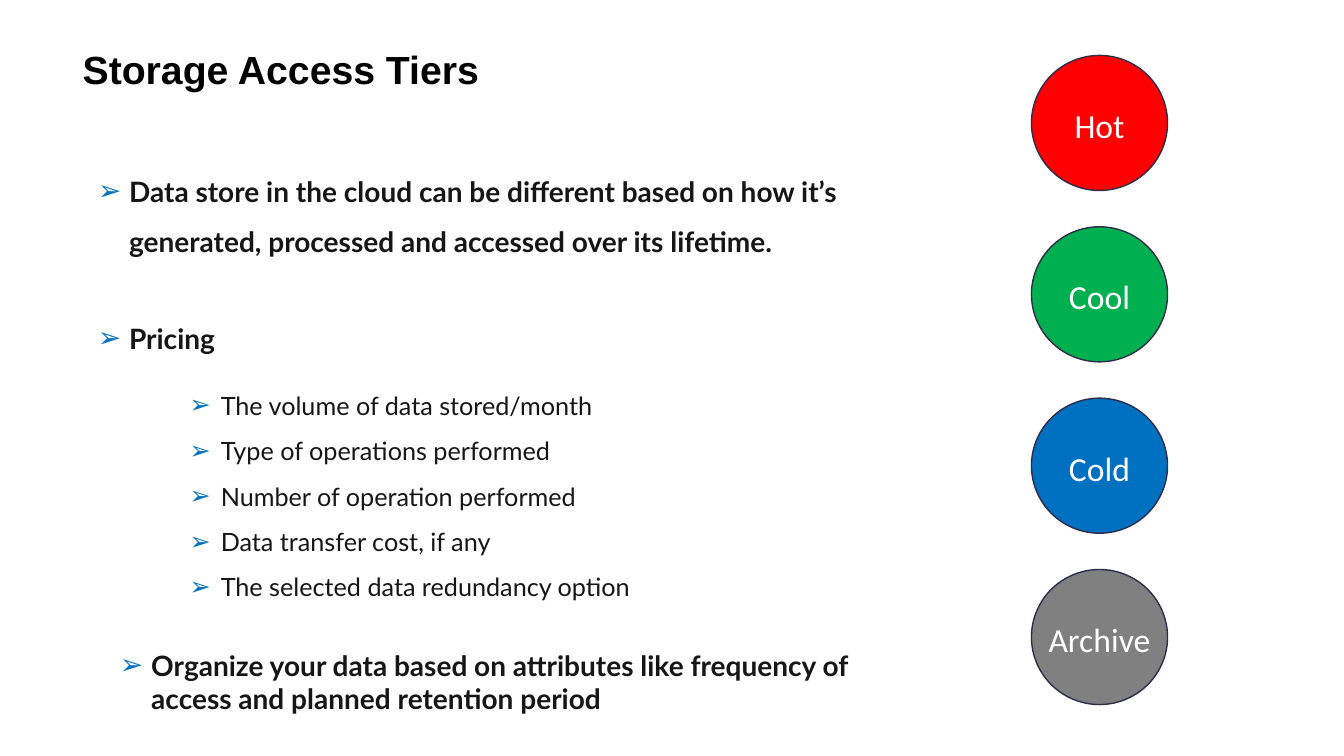
from dataclasses import dataclass

from lxml import etree
from pptx import Presentation
from pptx.dml.color import RGBColor
from pptx.enum.shapes import MSO_SHAPE
from pptx.enum.text import MSO_ANCHOR, MSO_AUTO_SIZE, PP_ALIGN
from pptx.oxml.ns import qn
from pptx.util import Emu, Pt

OVAL = MSO_SHAPE.OVAL
TOP, MIDDLE, BOTTOM = MSO_ANCHOR.TOP, MSO_ANCHOR.MIDDLE, MSO_ANCHOR.BOTTOM
LEFT, CENTER = PP_ALIGN.LEFT, PP_ALIGN.CENTER
NO_AUTOFIT = MSO_AUTO_SIZE.NONE
EMU_PER_PX = 9144
COMPARISON_LAYOUT = 4


@dataclass(frozen=True)
class Theme:
    title_font: str = "Arial"
    list_font: str = "Lato"
    tier_font: str = "Calibri"
    title_size: int = 28
    point_size: int = 20
    detail_size: int = 18
    tier_size: int = 24
    title_color: str = "000000"
    list_color: str = "161616"
    bullet_color: str = "0070C0"
    tier_color: str = "FFFFFF"
    outline: str = "2D2D4B"
    hot: str = "FF0000"
    cool: str = "00B050"
    cold: str = "0070C0"
    archive: str = "808080"


def px(length):
    return Emu(length * EMU_PER_PX)


class SlideBuilder:
    def __init__(self, page, theme):
        self.page = page
        self.theme = theme

    def place(self, index, left, top, width, height, anchor):
        box = self.page.placeholders[index]
        box.left, box.top, box.width, box.height = map(px, (left, top, width, height))
        frame = box.text_frame
        frame.word_wrap = True
        frame.auto_size = NO_AUTOFIT
        frame.vertical_anchor = anchor
        return frame

    def style(self, para, font, size, color, bold=False):
        for span in para.runs:
            span.font.name = font
            span.font.size = Pt(size)
            span.font.bold = bold
            span.font.color.rgb = RGBColor.from_string(color)

    def title(self, text, bounds):
        frame = self.place(0, *bounds, BOTTOM)
        frame.text = text
        para = frame.paragraphs[0]
        para.alignment = LEFT
        para.line_spacing = 0.9
        self.style(para, self.theme.title_font, self.theme.title_size,
                   self.theme.title_color, True)

    def bullets(self, index, items, bounds, size, bold, spacing, gap=0):
        frame = self.place(index, *bounds, TOP)
        frame.text = "\n".join(items)
        for position, para in enumerate(frame.paragraphs):
            para.alignment = LEFT
            para.line_spacing = spacing
            para.space_before = Pt(gap if position else 0)
            self.style(para, self.theme.list_font, size, self.theme.list_color, bold)
            self.bullet(para)

    def bullet(self, para):
        properties = para._p.get_or_add_pPr()
        properties.set("marL", str(px(31)))
        properties.set("indent", str(-px(31)))
        color = etree.SubElement(properties, qn("a:buClr"))
        etree.SubElement(color, qn("a:srgbClr"), val=self.theme.bullet_color)
        etree.SubElement(properties, qn("a:buChar"), char="➢")

    def tier(self, label, fill, left, top, width, height):
        circle = self.page.shapes.add_shape(OVAL, *map(px, (left, top, width, height)))
        circle.shadow.inherit = False
        circle.fill.solid()
        circle.fill.fore_color.rgb = RGBColor.from_string(fill)
        circle.line.color.rgb = RGBColor.from_string(self.theme.outline)
        circle.line.width = Pt(1)
        frame = circle.text_frame
        frame.word_wrap = False
        frame.vertical_anchor = MIDDLE
        frame.margin_left = frame.margin_right = frame.margin_bottom = 0
        frame.margin_top = px(4)
        frame.text = label
        frame.paragraphs[0].alignment = CENTER
        self.style(frame.paragraphs[0], self.theme.tier_font,
                   self.theme.tier_size, self.theme.tier_color)

    def remove_empty_placeholders(self):
        for box in list(self.page.placeholders):
            if not box.text_frame.text:
                box.element.getparent().remove(box.element)


def main():
    deck = Presentation()
    deck.slide_width, deck.slide_height = px(1333), px(750)
    page = deck.slides.add_slide(deck.slide_layouts[COMPARISON_LAYOUT])
    theme = Theme()
    builder = SlideBuilder(page, theme)

    builder.title("Storage Access Tiers", (72, 0, 1188, 97))
    builder.bullets(1, [
        "Data store in the cloud can be different based on how it’s generated, "
        "processed and accessed over its lifetime.",
        "Pricing",
    ], (87, 151, 790, 201), theme.point_size, True, 1.5, 33)
    builder.bullets(2, [
        "The volume of data stored/month",
        "Type of operations performed",
        "Number of operation performed",
        "Data transfer cost, if any",
        "The selected data redundancy option",
    ], (178, 367, 713, 232), theme.detail_size, False, 1.5)
    builder.bullets(3, [
        "Organize your data based on attributes like frequency of access "
        "and planned retention period",
    ], (109, 638, 800, 77), theme.point_size, True, 1.0)

    tiers = [("Hot", theme.hot), ("Cool", theme.cool),
             ("Cold", theme.cold), ("Archive", theme.archive)]
    for row, (label, fill) in enumerate(tiers):
        builder.tier(label, fill, 1023, 55 + 170 * row, 135, 134)

    builder.remove_empty_placeholders()
    deck.save("out.pptx")


if __name__ == "__main__":
    main()
